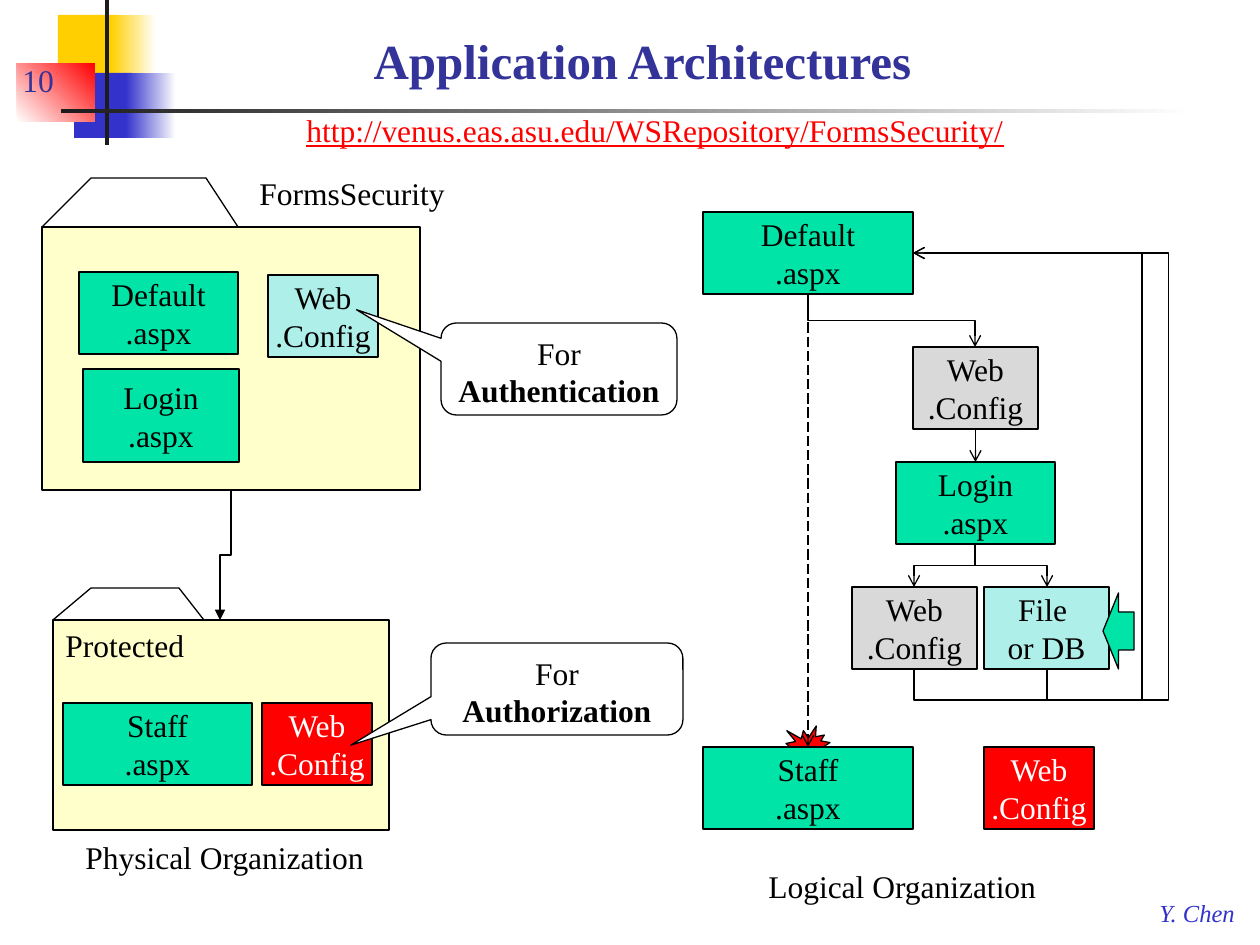
"""Build the Application Architectures slide: folder layout beside page flow."""
from lxml import etree
from pptx import Presentation
from pptx.dml.color import RGBColor as RGB
from pptx.enum.dml import MSO_LINE as Dash
from pptx.enum.shapes import MSO_CONNECTOR as Link, MSO_SHAPE as Kind
from pptx.enum.text import MSO_ANCHOR as Anchor, PP_ALIGN as Align
from pptx.oxml.ns import qn
from pptx.util import Pt

FACE = "Times New Roman"
BLACK, WHITE = RGB(0, 0, 0), RGB(255, 255, 255)
RED, BLUE, NAVY = RGB(255, 0, 0), RGB(0x33, 0x33, 0xCC), RGB(0x33, 0x33, 0x99)
GOLD, DARK = RGB(0xFF, 0xCF, 0x01), RGB(0x1C, 0x1C, 0x1C)
GREEN, AQUA = RGB(0, 0xE4, 0xA8), RGB(0xAF, 0xEF, 0xE9)
CREAM, GRAY = RGB(0xFF, 0xFF, 0xCC), RGB(0xD9, 0xD9, 0xD9)

TITLE = "Application Architectures"
DECOR = [
    ((58, 15, 60, 65), GOLD, None, 0),
    ((111, 15, 45, 65), GOLD, WHITE, 0),
    ((74, 73, 58, 65), BLUE, None, 0),
    ((126, 73, 50, 65), BLUE, WHITE, 0),
    ((17, 63, 78, 59), WHITE, RED, 45),
    ((105, 0, 4, 145), DARK, None, 0),
    ((61, 109, 1134, 4), DARK, WHITE, 0),
]
FOLDERS = [
    ((42, 227, 378, 263), [(42, 227), (91, 178), (206, 178), (238, 227)]),
    ((53, 620, 336, 210), [(53, 620), (91, 588), (179, 588), (204, 620)]),
]
BOXES = {
    "default file": ((79, 272, 159, 82), "Default\n.aspx", GREEN),
    "login file": ((83, 369, 156, 93), "Login\n.aspx", GREEN),
    "root config": ((268, 275, 110, 82), "Web\n.Config", AQUA),
    "staff file": ((63, 703, 189, 82), "Staff\n.aspx", GREEN),
    "staff config": ((262, 703, 110, 82), "Web\n.Config", RED),
    "default": ((703, 212, 210, 82), "Default\n.aspx", GREEN),
    "gate": ((913, 347, 125, 82), "Web\n.Config", GRAY),
    "login": ((896, 462, 159, 82), "Login\n.aspx", GREEN),
    "rules": ((852, 587, 125, 82), "Web\n.Config", GRAY),
    "store": ((984, 587, 125, 82), "File \vor DB", AQUA),
    "staff": ((703, 747, 210, 82), "Staff\n.aspx", GREEN),
    "lock": ((984, 747, 110, 82), "Web\n.Config", RED),
}
STRAIGHT = [("gate", "login", None), ("default", "staff", Dash.LONG_DASH)]
ELBOWS = [
    ((231, 490), (220, 620), "triangle"),
    ((808, 294), (975, 347), "arrow"),
    ((975, 544), (1047, 587), "arrow"),
    ((975, 544), (914, 587), "arrow"),
]
LOOPS = [((1047, 669), 1169), ((914, 669), 1144)]
LOOP_END, LOOP_LOW = (913, 253), 700
CALLOUTS = [
    ((441, 323, 236, 92), "Authentication", (-0.858, -0.645)),
    ((431, 643, 252, 92), "Authorization", (-0.818, 0.61)),
]
LABELS = [
    ((10, 42, 95, 63), "10", NAVY, 18),
    ((247, 168, 213, 50), "FormsSecurity", BLACK, 18),
    ((53, 620, 146, 50), "Protected", BLACK, 18),
    ((73, 832, 315, 50), "Physical Organization", BLACK, 18),
    ((756, 861, 304, 50), "Logical Organization", BLACK, 18),
    ((294, 105, 746, 50), "http://venus.eas.asu.edu/WSRepository/FormsSecurity/", RED, 18),
    ((1147, 892, 103, 42), "Y. Chen", BLUE, 14),
]


def px(*vals):
    return [round(v * 914400 / 126) for v in vals]


def style(para, color, size=18, align=Align.CENTER):
    para.alignment = align
    font = para.font
    font.name, font.size, font.color.rgb = FACE, Pt(size), color
    return font


def outline(shape):
    shape.shadow.inherit = False
    shape.line.color.rgb = BLACK
    shape.line.width = Pt(0.75)


def draw(kind, at, fill):
    shape = slide.shapes.add_shape(kind, *px(*at))
    outline(shape)
    shape.fill.solid()
    shape.fill.fore_color.rgb = fill
    return shape


def decor(at, fill, fade, angle):
    shape = draw(Kind.RECTANGLE, at, fill)
    shape.line.fill.background()
    if fade is not None:
        shape.fill.gradient()
        shape.fill.gradient_angle = angle
        for stop, color in zip(shape.fill.gradient_stops, (fill, fade)):
            stop.color.rgb = color


def box(at, text, fill):
    shape = draw(Kind.RECTANGLE, at, fill)
    frame = shape.text_frame
    frame.text, frame.word_wrap = text, False
    frame.vertical_anchor = Anchor.MIDDLE
    for para in frame.paragraphs:
        style(para, WHITE if fill == RED else BLACK)
    return shape


def folder(at, tab):
    draw(Kind.FLOWCHART_PROCESS, at, CREAM)
    pen = slide.shapes.build_freeform(*px(*tab[0]), scale=1.0)
    pen.add_line_segments([px(*spot) for spot in tab[1:]], close=False)
    shape = pen.convert_to_shape()
    outline(shape)
    shape.fill.background()


def arrow(kind, start, end, head):
    line = slide.shapes.add_connector(kind, *px(*start, *end))
    line.line.color.rgb = BLACK
    line.line.width = Pt(0.75)
    tail = etree.SubElement(line.line._get_or_add_ln(), qn("a:tailEnd"))
    tail.set("type", head)
    etree.SubElement(line._element.spPr, qn("a:effectLst"))
    return line


def elbow(start, end, head, turn, flip, preset, adjust):
    (x1, y1), (x2, y2) = start, end
    wide, tall = abs(y2 - y1), abs(x2 - x1)
    line = arrow(Link.ELBOW, start, end, head)
    left, top = (x1 + x2 - wide) / 2, (y1 + y2 - tall) / 2
    line.left, line.top, line.width, line.height = px(left, top, wide, tall)
    form = line._element.spPr.find(qn("a:xfrm"))
    for key in ("flipH", "flipV"):
        form.attrib.pop(key, None)
    form.set("rot", str(turn * 60000))
    if flip:
        form.set("flipH", "1")
    geom = line._element.spPr.find(qn("a:prstGeom"))
    geom.set("prst", preset)
    guides = geom.find(qn("a:avLst"))
    for num, val in enumerate(adjust, 1):
        guide = etree.SubElement(guides, qn("a:gd"))
        guide.set("name", f"adj{num}")
        guide.set("fmla", f"val {round(val * 100000)}")


def callout(at, word, tip):
    shape = draw(Kind.ROUNDED_RECTANGULAR_CALLOUT, at, WHITE)
    shape.adjustments[0], shape.adjustments[1] = tip
    frame = shape.text_frame
    frame.word_wrap, frame.vertical_anchor = True, Anchor.TOP
    para = frame.paragraphs[0]
    style(para, BLACK)
    para.add_run().text = "For "
    run = para.add_run()
    run.text, run.font.bold = word, True


def label(at, text, color, size):
    frame = slide.shapes.add_textbox(*px(*at)).text_frame
    frame.text, frame.word_wrap = text, False
    frame.vertical_anchor = Anchor.BOTTOM if color == NAVY else Anchor.TOP
    font = style(frame.paragraphs[0], color, size, Align.LEFT)
    font.underline, font.italic = color == RED, color == BLUE


deck = Presentation()
deck.slide_width, deck.slide_height = px(1260, 945)
slide = deck.slides.add_slide(deck.slide_layouts[5])
title = slide.shapes.title
title.left, title.top, title.width, title.height = px(129, 10, 1027, 86)
title.text_frame.text = TITLE
title.text_frame.vertical_anchor = Anchor.BOTTOM
style(title.text_frame.paragraphs[0], NAVY, 28).bold = True

for item in DECOR:
    decor(*item)
draw(Kind.EXPLOSION1, (786, 726, 45, 44), RED)
for item in FOLDERS:
    folder(*item)
boxes = {name: box(*item) for name, item in BOXES.items()}
for first, last, dash in STRAIGHT:
    line = arrow(Link.STRAIGHT, (0, 0), (0, 0), "arrow")
    line.begin_connect(boxes[first], 2)
    line.end_connect(boxes[last], 0)
    if dash:
        line.line.dash_style = dash
for start, end, head in ELBOWS:
    right = end[0] > start[0]
    elbow(start, end, head, 270 if right else 90, right, "bentConnector3", [0.5])
for start, side in LOOPS:
    low = (start[1] - LOOP_LOW) / (start[1] - LOOP_END[1])
    out = (start[0] - side) / (start[0] - LOOP_END[0])
    elbow(start, LOOP_END, "arrow", 90, True, "bentConnector4", [low, out])
for item in CALLOUTS:
    callout(*item)
draw(Kind.LEFT_ARROW, (1103, 593, 31, 76), GREEN)
for item in LABELS:
    label(*item)
deck.save("out.pptx")
